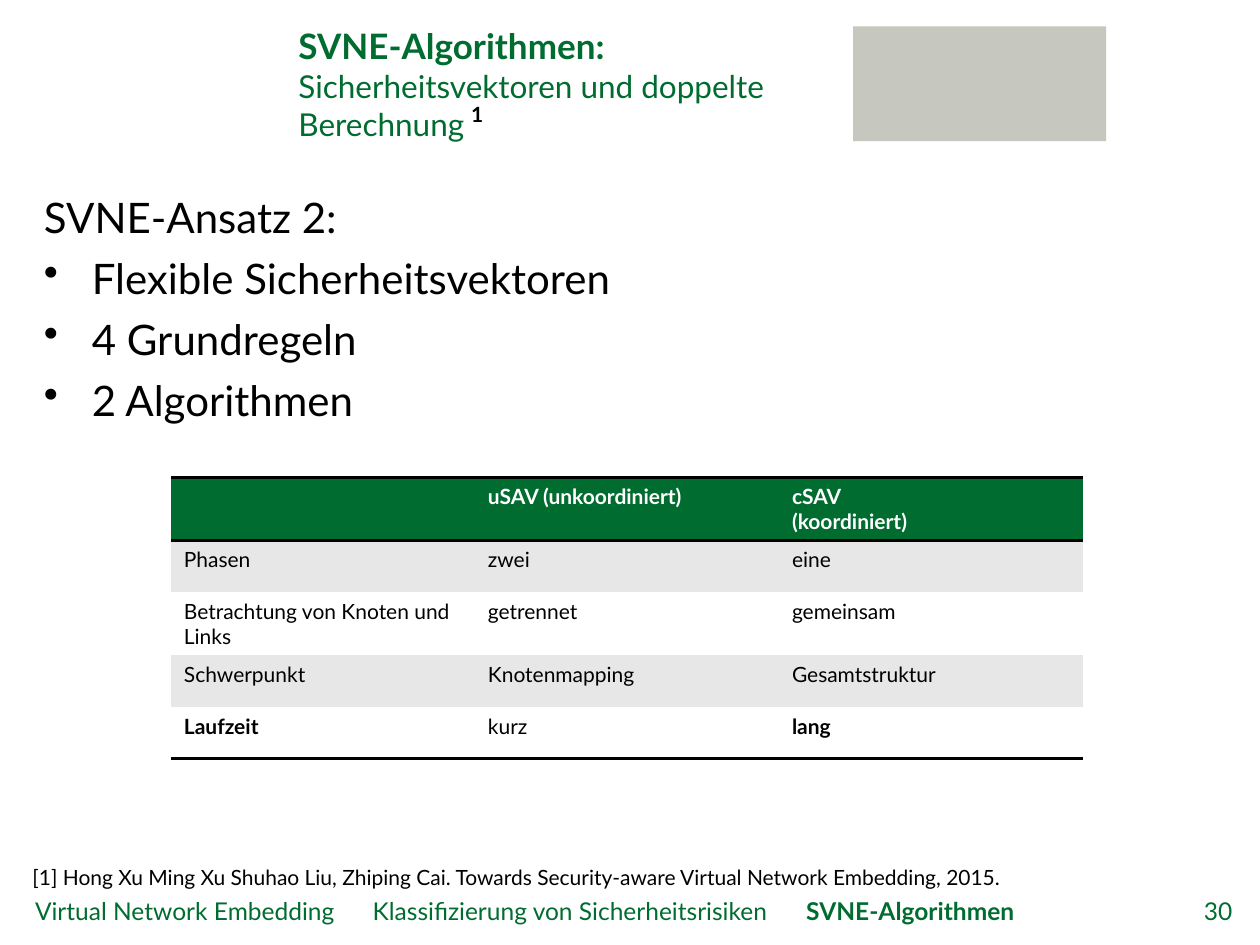
from lxml.etree import SubElement
from pptx import Presentation
from pptx.dml.color import RGBColor
from pptx.enum.shapes import MSO_SHAPE as Shape
from pptx.enum.text import MSO_ANCHOR as Anchor, PP_ALIGN as Align
from pptx.oxml.ns import qn
from pptx.util import Inches, Pt

GREEN, BLACK, WHITE, BAND, GREY = "006C30", "000000", "FFFFFF", "E7E7E7", "C6C7BE"
FONT = "Lato"
NO_STYLE = "{2D5ABB26-0587-4C30-8999-92F81FD0307C}"

# Content
TITLE = "SVNE-Algorithmen:"
SUBTITLE = "Sicherheitsvektoren und doppelte Berechnung"
HEADING = "SVNE-Ansatz 2:"
BULLETS = ["Flexible Sicherheitsvektoren", "4 Grundregeln", "2 Algorithmen"]
COMPARISON = [
    ("", "uSAV (unkoordiniert)", "cSAV \v(koordiniert)"),
    ("Phasen", "zwei", "eine"),
    ("Betrachtung von Knoten und Links", "getrennet", "gemeinsam"),
    ("Schwerpunkt", "Knotenmapping", "Gesamtstruktur"),
    ("Laufzeit", "kurz", "lang"),
]
BOLD_CELLS = {"Laufzeit", "lang"}
SOURCE = ("[1] Hong Xu Ming Xu Shuhao Liu, Zhiping Cai. "
          "Towards Security-aware Virtual Network Embedding, 2015.")
SECTIONS = ["Virtual Network Embedding", "Klassifizierung von Sicherheitsrisiken"]
CURRENT_SECTION = "SVNE-Algorithmen"
SECTION_TABS = [2.68, 6.12]
PAGE = "30"


def rgb(color):
    return RGBColor.from_string(color)


def style(paragraph, size, color=BLACK, bold=False):
    font = paragraph.font
    font.name, font.size, font.bold = FONT, Pt(size), bold
    font.color.rgb = rgb(color)


def add_text(box, lines, wrap=True, anchor=Anchor.TOP):
    """Each line is (text, size, color, bold); returns the paragraphs."""
    frame = slide.shapes.add_textbox(*map(Inches, box)).text_frame
    frame.word_wrap, frame.vertical_anchor = wrap, anchor
    for number, (text, *look) in enumerate(lines):
        paragraph = frame.add_paragraph() if number else frame.paragraphs[0]
        paragraph.text = text
        style(paragraph, *look)
    return frame.paragraphs


def add_bullet(paragraph, indent):
    properties = paragraph._p.get_or_add_pPr()
    properties.set("marL", str(Inches(indent)))
    properties.set("indent", str(-Inches(indent)))
    bullet = properties.makeelement(qn("a:buChar"), {"char": "•"})
    properties.find(qn("a:defRPr")).addprevious(bullet)


def add_tabs(paragraph, positions):
    properties = paragraph._p.get_or_add_pPr()
    tabs = properties.makeelement(qn("a:tabLst"), {})
    for position in positions:
        SubElement(tabs, qn("a:tab"), pos=str(Inches(position)), algn="l")
    properties.find(qn("a:defRPr")).addprevious(tabs)


def add_border(cell, side):
    line = SubElement(cell._tc.get_or_add_tcPr(), qn("a:ln" + side), w=str(Pt(2)))
    fill = SubElement(line, qn("a:solidFill"))
    SubElement(fill, qn("a:srgbClr"), val=BLACK)


presentation = Presentation()
presentation.slide_width, presentation.slide_height = Inches(10), Inches(7.5)
slide = presentation.slides.add_slide(presentation.slide_layouts[6])

# Header
block = slide.shapes.add_shape(Shape.RECTANGLE, *map(Inches, (6.77, 0.21, 2.01, 0.91)))
block.shadow.inherit = False
block.fill.solid()
block.fill.fore_color.rgb = rgb(GREY)
block.line.fill.background()
add_text((2.27, 0.68, 4.31, 0.5),
         [(TITLE, 20, GREEN, True), (SUBTITLE, 18, GREEN)], anchor=Anchor.BOTTOM)
add_text((3.64, 0.76, 0.29, 0.3), [("1", 12, BLACK, True)], wrap=False)

# Key points
points = add_text((0.25, 1.47, 9.48, 1.61), [(text, 24) for text in [HEADING, *BULLETS]])
for paragraph in points:
    paragraph.space_after = Pt(6)
for paragraph in points[1:]:
    add_bullet(paragraph, 0.38)

# Comparison table
last_row = len(COMPARISON) - 1
table = slide.shapes.add_table(len(COMPARISON), len(COMPARISON[0]),
                               *map(Inches, (1.36, 3.79, 7.24, 2.05))).table
table.horz_banding = False
table.first_row = False
table._tbl.tblPr.find(qn("a:tableStyleId")).text = NO_STYLE
for r, row in enumerate(COMPARISON):
    header = r == 0
    for c, text in enumerate(row):
        cell = table.cell(r, c)
        paragraph = cell.text_frame.paragraphs[0]
        paragraph.text = text
        style(paragraph, 12, WHITE if header else BLACK, header or text in BOLD_CELLS)
        if header:
            add_border(cell, "T")
        if r in (0, last_row):
            add_border(cell, "B")
        cell.fill.solid()
        cell.fill.fore_color.rgb = rgb(GREEN if header else BAND if r % 2 else WHITE)

# Source and footer
add_text((0.16, 6.81, 8.27, 0.3), [(SOURCE, 12)], wrap=False)
footer = add_text((0.18, 7.06, 8.84, 0.32), [("\t".join(SECTIONS) + "\t", 14, GREEN)])[0]
add_tabs(footer, SECTION_TABS)
current = footer.add_run()
current.text = CURRENT_SECTION
current.font.bold = True
page = add_text((9.02, 7.06, 0.86, 0.32), [(PAGE, 14, GREEN)])[0]
page.alignment = Align.RIGHT

presentation.save("out.pptx")
